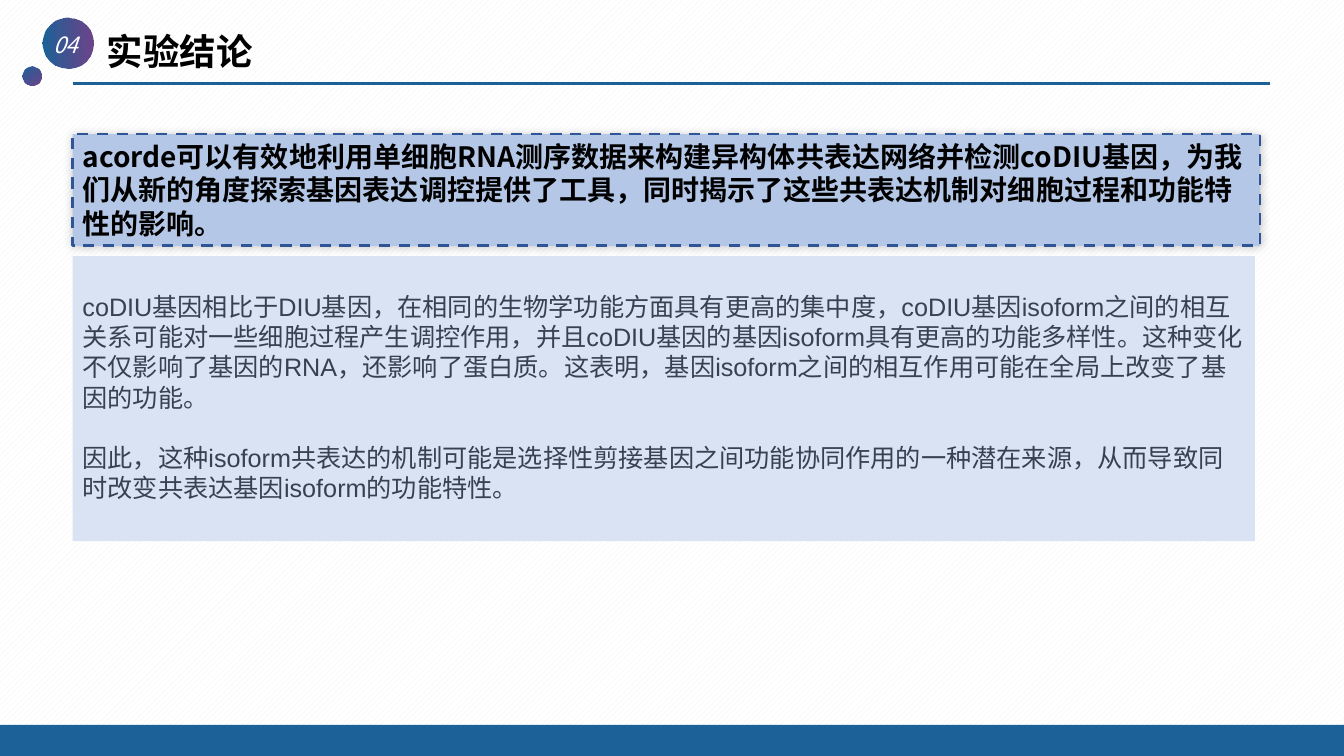
from dataclasses import dataclass

from lxml.etree import SubElement
from pptx import Presentation
from pptx.dml.color import RGBColor
from pptx.enum.dml import MSO_LINE, MSO_PATTERN
from pptx.enum.shapes import MSO_CONNECTOR, MSO_SHAPE
from pptx.enum.text import MSO_ANCHOR, MSO_AUTO_SIZE, PP_ALIGN
from pptx.oxml.ns import qn
from pptx.shapes.autoshape import Shape
from pptx.slide import Slide
from pptx.text.text import TextFrame
from pptx.util import Pt

COLORS = {
    "blue": "1C6299", "purple": "5C307D", "pale": "DAE3F3", "panel": "B4C7E7",
    "outline": "2F5597", "gray": "374151", "stripe": "F2F2F2",
    "white": "FFFFFF", "black": "000000",
}
CJK_FONT = "Noto Sans CJK SC"

TITLE = "实验结论"
CONCLUSION = "acorde可以有效地利用单细胞RNA测序数据来构建异构体共表达网络并检测coDIU基因，为我们从新的角度探索基因表达调控提供了工具，同时揭示了这些共表达机制对细胞过程和功能特性的影响。"
DETAILS = [
    "coDIU基因相比于DIU基因，在相同的生物学功能方面具有更高的集中度，coDIU基因isoform之间的相互关系可能对一些细胞过程产生调控作用，并且coDIU基因的基因isoform具有更高的功能多样性。这种变化不仅影响了基因的RNA，还影响了蛋白质。这表明，基因isoform之间的相互作用可能在全局上改变了基因的功能。",
    "因此，这种isoform共表达的机制可能是选择性剪接基因之间功能协同作用的一种潜在来源，从而导致同时改变共表达基因isoform的功能特性。",
]


@dataclass(frozen=True)
class Box:
    left: float
    top: float
    width: float
    height: float

    def lengths(self) -> tuple[Pt, Pt, Pt, Pt]:
        return Pt(self.left), Pt(self.top), Pt(self.width), Pt(self.height)


@dataclass(frozen=True)
class Dot:
    box: Box
    angle: float


DOTS = [Dot(Box(30.24, 12.24, 36.72, 36.72), 0), Dot(Box(15.84, 47.52, 13.68, 13.68), 310)]
TITLE_BOX = Box(76.32, -7.92, 427.68, 64.08)
NUMBER_BOX = Box(20.16, 18.72, 53.28, 26.64)
FOOTER_BOX = Box(0, 517.68, 960, 22.32)
DETAILS_BOX = Box(51.84, 182.88, 844.56, 203.76)
CONCLUSION_BOX = Box(51.84, 95.76, 848.16, 79.92)


def color(name: str) -> RGBColor:
    return RGBColor.from_string(COLORS[name])


def write_text(frame: TextFrame, texts: list[str], *, size: float, color_name: str,
               font: str = CJK_FONT, bold: bool = False, italic: bool = False,
               align: PP_ALIGN = PP_ALIGN.LEFT, anchor: MSO_ANCHOR = MSO_ANCHOR.TOP,
               gap: float = 0, line_spacing: float | None = None,
               left_inset: float = 7.2, top_inset: float = 3.6) -> None:
    frame.word_wrap = True
    frame.auto_size = MSO_AUTO_SIZE.NONE
    frame.vertical_anchor = anchor
    frame.margin_left, frame.margin_right = Pt(left_inset), Pt(7.2)
    frame.margin_top, frame.margin_bottom = Pt(top_inset), Pt(3.6)
    for index, text in enumerate(texts):
        paragraph = frame.add_paragraph() if index else frame.paragraphs[0]
        paragraph.alignment = align
        paragraph.space_before = Pt(gap if index else 0)
        paragraph.line_spacing = line_spacing
        run = paragraph.add_run()
        run.text = text
        run.font.name = font
        run.font.size = Pt(size)
        run.font.bold, run.font.italic = bold, italic
        run.font.color.rgb = color(color_name)
        east_asian = SubElement(run.font._element, qn("a:ea"))
        east_asian.set("typeface", CJK_FONT)


def add_panel(slide: Slide, box: Box, fill: str) -> Shape:
    panel = slide.shapes.add_shape(MSO_SHAPE.RECTANGLE, *box.lengths())
    panel.shadow.inherit = False
    panel.fill.solid()
    panel.fill.fore_color.rgb = color(fill)
    panel.line.fill.background()
    return panel


def add_dot(slide: Slide, dot: Dot) -> None:
    """Draw a circle that fades from blue to slightly transparent purple."""
    shape = slide.shapes.add_shape(MSO_SHAPE.OVAL, *dot.box.lengths())
    shape.shadow.inherit = False
    shape.line.fill.background()
    shape.fill.gradient()
    shape.fill.gradient_angle = dot.angle
    for stop, name in zip(shape.fill.gradient_stops, ("blue", "purple")):
        stop.color.rgb = color(name)
    end_color = shape._element.spPr.findall(".//" + qn("a:srgbClr"))[-1]
    SubElement(end_color, qn("a:alpha")).set("val", "90000")


def add_soft_shadow(shape: Shape) -> None:
    effects = shape._element.spPr.find(qn("a:effectLst"))
    shadow = SubElement(effects, qn("a:outerShdw"), blurRad=str(Pt(6)), dist="0",
                        dir="13500000", algn="br", rotWithShape="0")
    shadow_color = SubElement(shadow, qn("a:srgbClr"), val=COLORS["black"])
    SubElement(shadow_color, qn("a:alpha"), val="20000")


def add_header(slide: Slide) -> None:
    rule = slide.shapes.add_connector(MSO_CONNECTOR.STRAIGHT, Pt(51.84), Pt(59.76), Pt(907.2), Pt(59.76))
    rule.line.color.rgb = color("blue")
    rule.line.width = Pt(1.75)
    SubElement(rule._element.spPr, qn("a:effectLst"))

    title = slide.shapes.title
    title.left, title.top, title.width, title.height = TITLE_BOX.lengths()
    write_text(title.text_frame, [TITLE], size=26, color_name="black", font="Arial", bold=True,
               anchor=MSO_ANCHOR.BOTTOM, line_spacing=0.9, left_inset=0)

    for dot in DOTS:
        add_dot(slide, dot)
    number = slide.shapes.add_textbox(*NUMBER_BOX.lengths())
    write_text(number.text_frame, ["04"], size=16, color_name="white", italic=True, align=PP_ALIGN.CENTER)


def main() -> None:
    presentation = Presentation()
    presentation.slide_width, presentation.slide_height = Pt(960), Pt(540)
    slide = presentation.slides.add_slide(presentation.slide_layouts[5])
    background = slide.background.fill
    background.patterned()
    background.pattern = MSO_PATTERN.WIDE_UPWARD_DIAGONAL
    background.fore_color.rgb = color("stripe")
    background.back_color.rgb = color("white")

    add_header(slide)
    add_panel(slide, FOOTER_BOX, "blue")

    details = add_panel(slide, DETAILS_BOX, "pale")
    write_text(details.text_frame, DETAILS, size=18, color_name="gray", font="Arial",
               gap=21.6, top_inset=25.2)

    conclusion = add_panel(slide, CONCLUSION_BOX, "panel")
    conclusion.line.color.rgb = color("outline")
    conclusion.line.width = Pt(2)
    conclusion.line.dash_style = MSO_LINE.DASH
    add_soft_shadow(conclusion)
    write_text(conclusion.text_frame, [CONCLUSION], size=20, color_name="black", bold=True)

    presentation.save("out.pptx")


if __name__ == "__main__":
    main()
